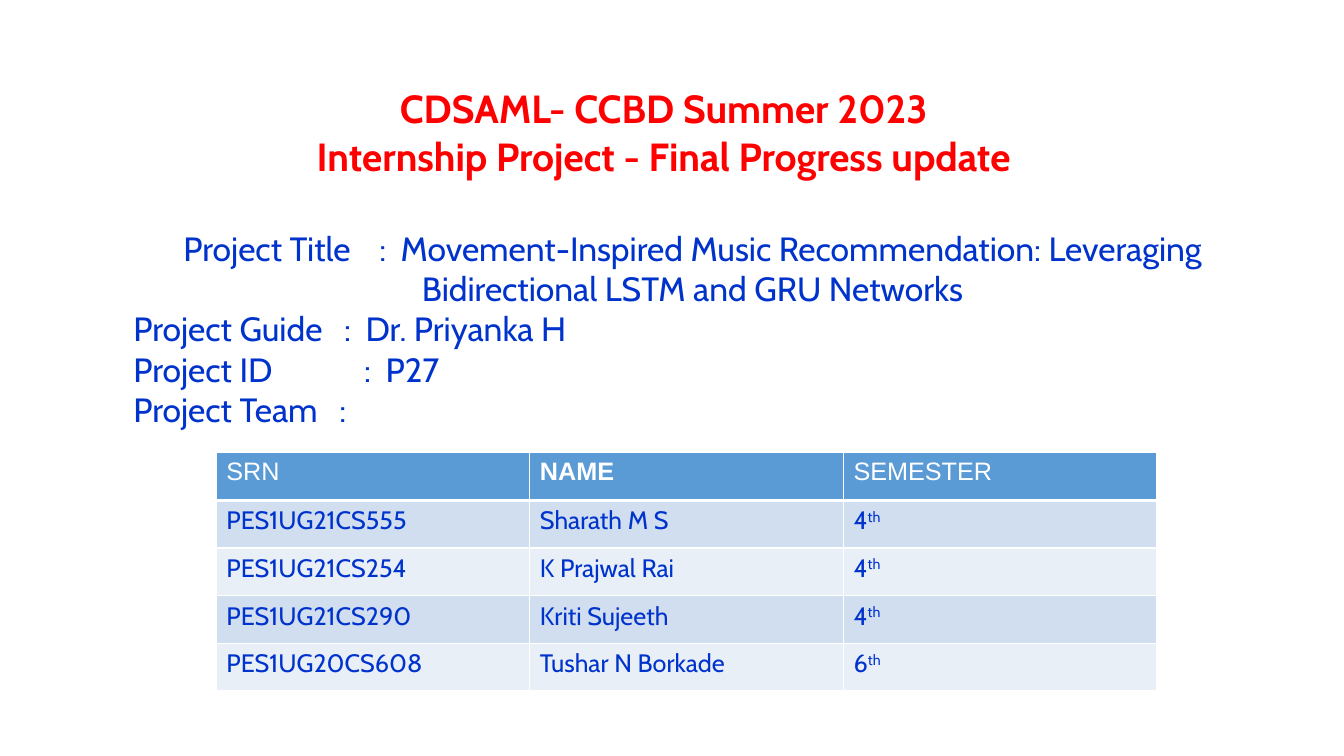
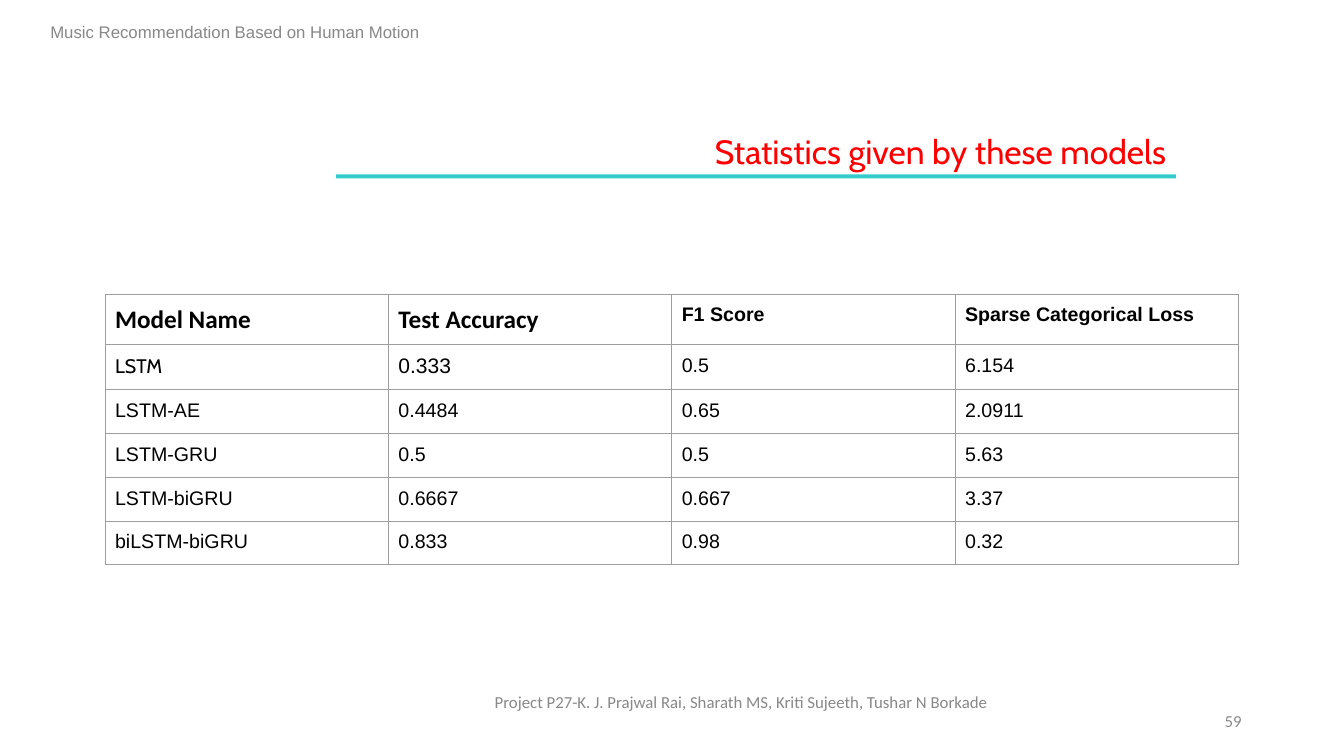
from dataclasses import dataclass

from lxml import etree
from pptx import Presentation
from pptx.dml.color import RGBColor
from pptx.enum.shapes import MSO_SHAPE as Shape
from pptx.enum.text import MSO_ANCHOR as Anchor, PP_ALIGN as Align
from pptx.oxml.ns import qn
from pptx.util import Pt


@dataclass(frozen=True)
class Theme:
    red: str = "FF0000"
    blue: str = "0033CC"
    teal: str = "33CCCC"
    grey: str = "888888"
    black: str = "000000"
    white: str = "FFFFFF"
    head_fill: str = "5B9BD5"
    bands: tuple = ("D0DEEF", "E9EFF7")
    grid: str = "9E9E9E"
    display: str = "Cabin"
    plain: str = "Arial"
    small: str = "Calibri"
    cover_size: int = 28
    title_size: int = 24
    table_size: int = 18
    stat_size: int = 14
    note_size: int = 12


THEME = Theme()

# Content
COVER_TITLE = ["CDSAML- CCBD Summer 2023",
               "Internship Project - Final Progress update"]
# label, extra gap before the colon, value
DETAILS = [
    ("Project Title", 15, "Movement-Inspired Music Recommendation: "
                          "Leveraging Bidirectional LSTM and GRU Networks"),
    ("Project Guide", 10, "Dr. Priyanka H"),
    ("Project ID", 60, "P27"),
    ("Project Team", 10, ""),
]
TEAM_HEAD = ["SRN", "NAME", "SEMESTER"]
TEAM = [
    ("PES1UG21CS555", "Sharath M S", "4"),
    ("PES1UG21CS254", "K Prajwal Rai", "4"),
    ("PES1UG21CS290", "Kriti Sujeeth", "4"),
    ("PES1UG20CS608", "Tushar N Borkade", "6"),
]
STATS_TITLE = "Statistics given by these models"
STATS = [
    ("Model Name", "Test Accuracy", "F1 Score", "Sparse Categorical Loss"),
    ("LSTM", "0.333", "0.5", "6.154"),
    ("LSTM-AE", "0.4484", "0.65", "2.0911"),
    ("LSTM-GRU", "0.5", "0.5", "5.63"),
    ("LSTM-biGRU", "0.6667", "0.667", "3.37"),
    ("biLSTM-biGRU", "0.833", "0.98", "0.32"),
]
# Cells whose type differs from the rest of the statistics
STAT_STYLES = {
    (0, 0): dict(font=THEME.small, size=THEME.table_size),
    (0, 1): dict(font=THEME.small, size=THEME.table_size),
    (1, 0): dict(font=THEME.display),
    (1, 1): dict(size=15),
}
# text, left, top, width, font, alignment
MARGIN_NOTES = [
    ("Music Recommendation Based on Human Motion", 6, 8.6, 324,
     THEME.plain, Align.CENTER),
    ("Project P27-K. J. Prajwal Rai, Sharath MS, Kriti Sujeeth, "
     "Tushar N Borkade", 318, 487, 423, THEME.small, Align.CENTER),
    ("59", 678, 500.4, 216, THEME.small, Align.RIGHT),
]


# Helpers
def write(paragraph, text, *, font=THEME.display, size=THEME.title_size,
          color=THEME.blue, bold=False, align=Align.LEFT, raised=False,
          spacing=0):
    """Add one formatted run; spacing is extra letter space in points."""
    paragraph.alignment = align
    run = paragraph.add_run()
    run.text = text
    run.font.name = font
    run.font.size = Pt(size)
    run.font.bold = bold
    run.font.color.rgb = RGBColor.from_string(color)
    props = run._r.get_or_add_rPr()
    if raised:
        props.set("baseline", "30000")
    if spacing:
        props.set("spc", str(spacing * 100))


def add_box(slide, left, top, width, height, anchor=Anchor.TOP):
    frame = slide.shapes.add_textbox(
        Pt(left), Pt(top), Pt(width), Pt(height)).text_frame
    frame.word_wrap = True
    frame.vertical_anchor = anchor
    return frame


def paragraphs(frame, count):
    for _ in range(count - 1):
        frame.add_paragraph()
    return frame.paragraphs


def add_grid(slide, left, top, column, row, columns, rows):
    table = slide.shapes.add_table(
        rows, columns, Pt(left), Pt(top),
        Pt(column * columns), Pt(row * rows)).table
    for part in table.columns:
        part.width = Pt(column)
    for part in table.rows:
        part.height = Pt(row)
    return table


def style_cell(cell, line, width, fill=None, bottom=None):
    """Draw four borders, then set the fill."""
    props = cell._tc.get_or_add_tcPr()
    for side in ("lnL", "lnR", "lnT", "lnB"):
        weight = bottom if bottom and side == "lnB" else width
        border = etree.SubElement(props, qn(f"a:{side}"), w=str(Pt(weight)))
        solid = etree.SubElement(border, qn("a:solidFill"))
        etree.SubElement(solid, qn("a:srgbClr"), val=line)
    if fill:
        cell.fill.solid()
        cell.fill.fore_color.rgb = RGBColor.from_string(fill)
    else:
        cell.fill.background()


# Slides
def build_cover(slide):
    heading = add_box(slide, 162, 57, 624, 76)
    for line, text in zip(paragraphs(heading, len(COVER_TITLE)), COVER_TITLE):
        write(line, text, size=THEME.cover_size, color=THEME.red, bold=True,
              align=Align.CENTER)

    details = add_box(slide, 67.7, 159, 854, 352)
    lines = paragraphs(details, len(DETAILS))
    for i, (line, (label, gap, value)) in enumerate(zip(lines, DETAILS)):
        align = Align.LEFT if i else Align.CENTER
        if i:
            line._p.get_or_add_pPr().set("marL", str(Pt(20.5)))
        write(line, label, align=align)
        write(line, " ", align=align, spacing=gap)
        write(line, ":", align=align)
        if value:
            write(line, " ", align=align, spacing=5)
            write(line, value, align=align)

    team = add_grid(slide, 154.5, 323.5, 224, 34, len(TEAM_HEAD),
                    len(TEAM) + 1)
    for c, text in enumerate(TEAM_HEAD):
        cell = team.cell(0, c)
        style_cell(cell, THEME.white, 1, THEME.head_fill, bottom=3)
        write(cell.text_frame.paragraphs[0], text, font=THEME.plain,
              size=THEME.table_size, color=THEME.white, bold=text == "NAME")
    for r, member in enumerate(TEAM):
        for c, text in enumerate(member):
            cell = team.cell(r + 1, c)
            style_cell(cell, THEME.white, 1, THEME.bands[r % 2])
            line = cell.text_frame.paragraphs[0]
            write(line, text, size=THEME.table_size)
            if TEAM_HEAD[c] == "SEMESTER":
                write(line, "th", size=THEME.table_size, raised=True)


def build_statistics(slide):
    # Title with its rule
    rule = slide.shapes.add_shape(
        Shape.RECTANGLE, Pt(240), Pt(124.5), Pt(600), Pt(3))
    rule.shadow.inherit = False
    rule.fill.solid()
    rule.fill.fore_color.rgb = RGBColor.from_string(THEME.teal)
    rule.line.fill.background()
    title = add_box(slide, 150, 90, 690, 36)
    write(title.paragraphs[0], STATS_TITLE, color=THEME.red,
          align=Align.RIGHT)

    # Header, footer and page number
    for text, left, top, width, font, align in MARGIN_NOTES:
        note = add_box(slide, left, top, width, 28.8, Anchor.MIDDLE)
        write(note.paragraphs[0], text, font=font, size=THEME.note_size,
              color=THEME.grey, align=align)

    # Model results
    results = add_grid(slide, 75, 210, 202.4, 30.2, len(STATS[0]), len(STATS))
    for r, values in enumerate(STATS):
        for c, text in enumerate(values):
            cell = results.cell(r, c)
            cell.margin_top = cell.margin_bottom = Pt(7.2)
            style_cell(cell, THEME.grid, 0.75)
            style = dict(font=THEME.plain, size=THEME.stat_size,
                         color=THEME.black, bold=r == 0)
            style.update(STAT_STYLES.get((r, c), {}))
            write(cell.text_frame.paragraphs[0], text, **style)


def main():
    deck = Presentation()
    deck.slide_width, deck.slide_height = Pt(960), Pt(540)
    blank = deck.slide_layouts[6]
    for build in (build_cover, build_statistics):
        build(deck.slides.add_slide(blank))
    deck.save("out.pptx")


if __name__ == "__main__":
    main()
